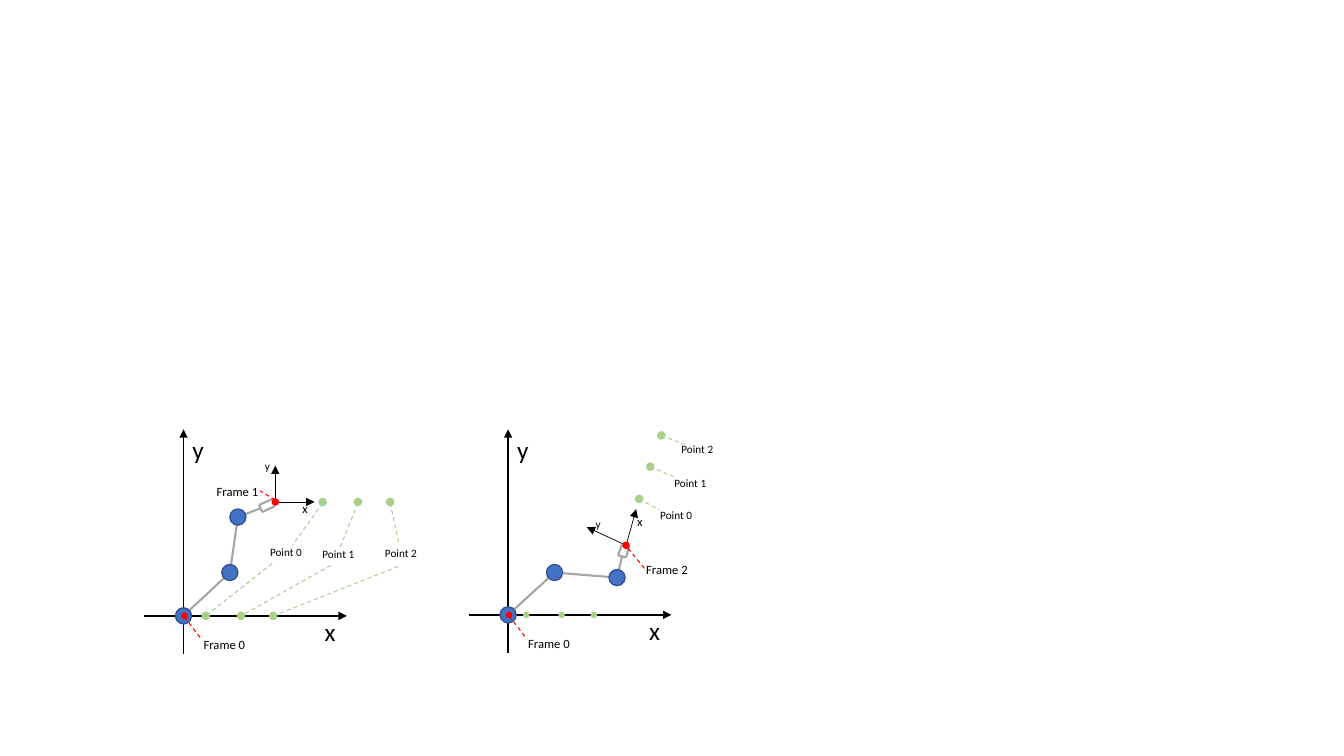
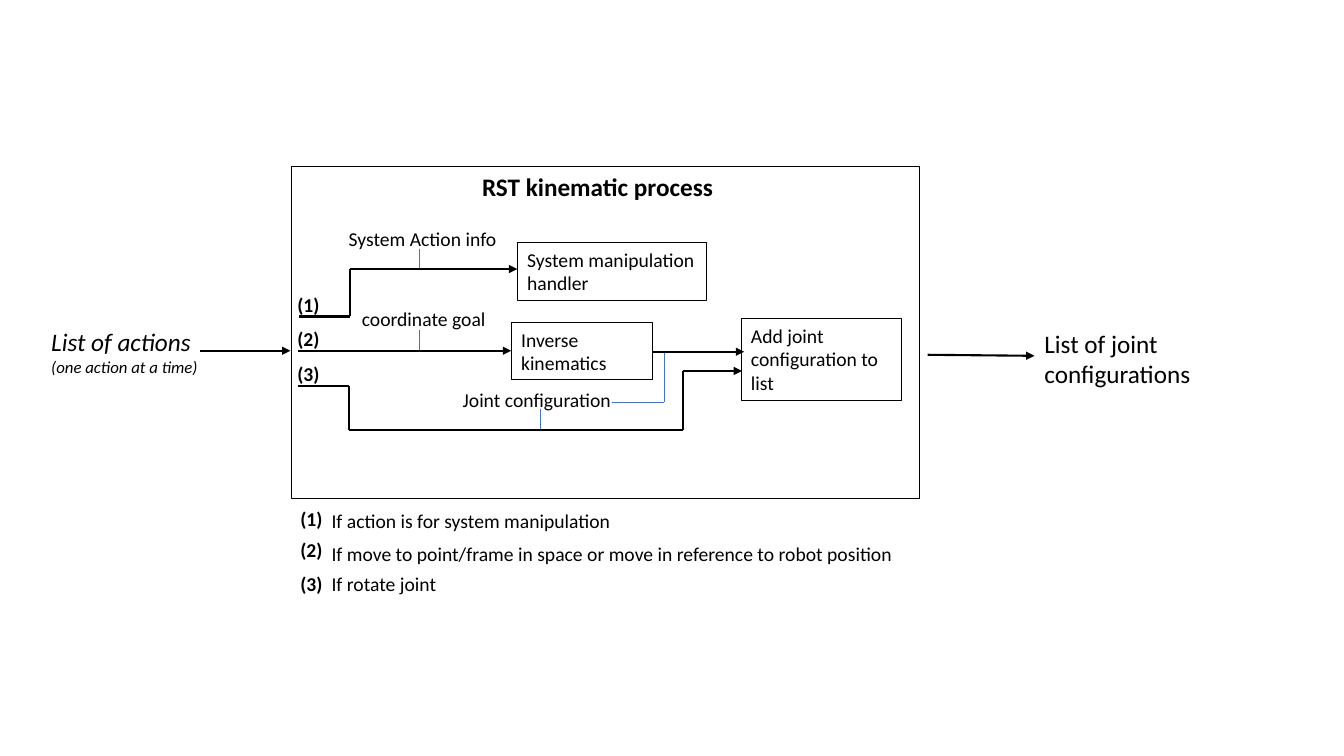
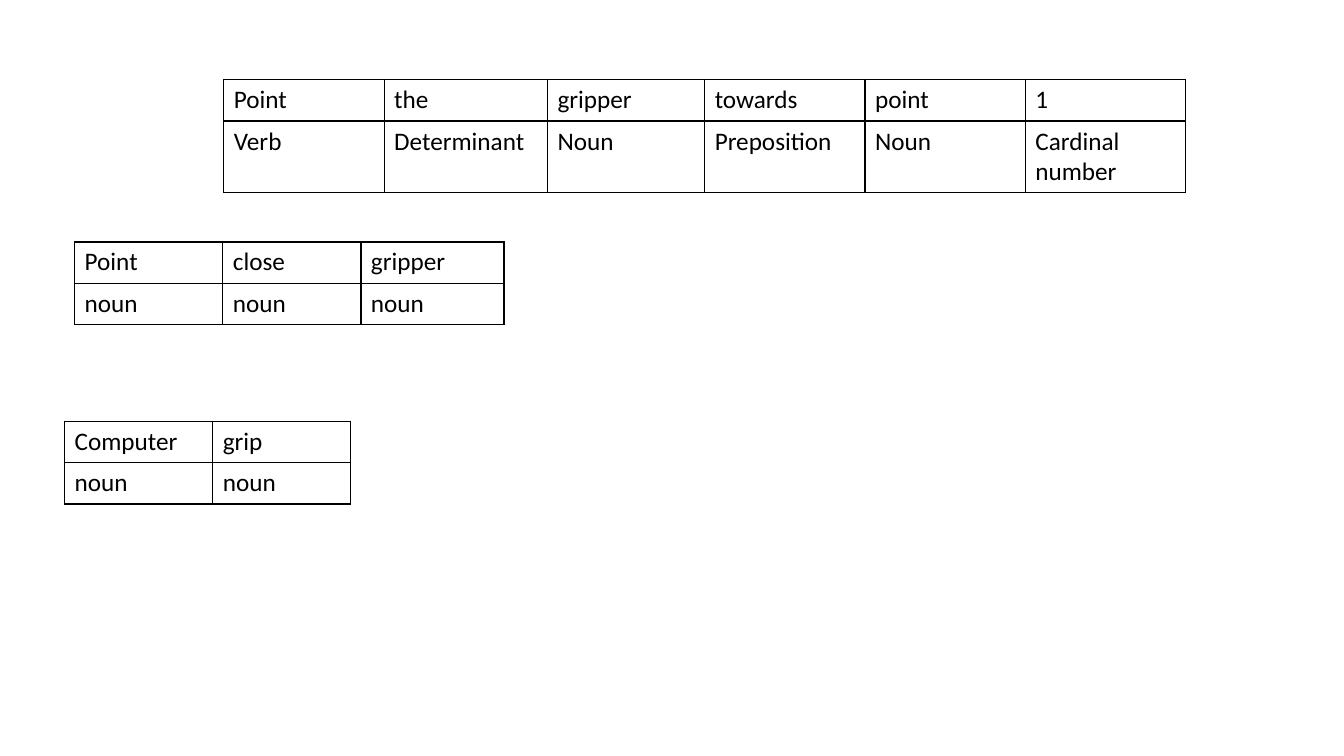
from itertools import pairwise

from lxml.etree import SubElement
from pptx import Presentation
from pptx.dml.color import RGBColor
from pptx.enum.dml import MSO_LINE
from pptx.enum.shapes import MSO_CONNECTOR, MSO_SHAPE
from pptx.enum.text import MSO_ANCHOR, PP_ALIGN
from pptx.oxml import parse_xml
from pptx.oxml.ns import nsdecls, qn
from pptx.util import Inches, Pt

FONT = "Calibri"
BLACK, WHITE = "000000", "FFFFFF"
BLUE, NAVY, GREY = "4472C4", "325491", "A5A5A5"
RED, GREEN = "FF0000", "A9D18E"
POINT_STEPS = (0, 0.35, 0.67)


def color(value):
    return RGBColor.from_string(value)


class Sketch:
    """Holds the deck, the current page and the drawing style."""

    def __init__(self):
        self.deck = Presentation()
        self.deck.slide_width = Inches(13.33)
        self.deck.slide_height = Inches(7.5)
        self.page = None

    def new_page(self):
        self.page = self.deck.slides.add_slide(self.deck.slide_layouts[6])

    def line(self, start, end, ink=BLACK, width=1.5, arrow=False, dashed=False):
        connector = self.page.shapes.add_connector(
            MSO_CONNECTOR.STRAIGHT, *[Inches(value) for value in (*start, *end)])
        connector.line.color.rgb = color(ink)
        connector.line.width = Pt(width)
        if dashed:
            connector.line.dash_style = MSO_LINE.DASH
        properties = connector.element.spPr
        if arrow:
            SubElement(properties.find(qn("a:ln")), qn("a:tailEnd"), type="triangle")
        SubElement(properties, qn("a:effectLst"))

    def route(self, points, arrow=False, **style):
        """Joined segments; only the last one may carry an arrowhead."""
        for start, end in pairwise(points):
            self.line(start, end, arrow=arrow and end == points[-1], **style)

    def shape(self, kind, left, top, width, height, fill=None, ink=BLACK, weight=0.75):
        shape = self.page.shapes.add_shape(
            kind, Inches(left), Inches(top), Inches(width), Inches(height))
        shape.shadow.inherit = False
        if fill:
            shape.fill.solid()
            shape.fill.fore_color.rgb = color(fill)
        else:
            shape.fill.background()
        shape.line.color.rgb = color(ink)
        shape.line.width = Pt(weight)
        return shape

    def dot(self, center, size, fill, ink=None):
        x, y = center
        self.shape(MSO_SHAPE.OVAL, x - size / 2, y - size / 2, size, size,
                   fill, ink or fill, 1)

    def add_span(self, para, text, size, bold=False, italic=False):
        span = para.add_run()
        span.text = text
        span.font.name = FONT
        span.font.size = Pt(size)
        span.font.bold = bold
        span.font.italic = italic
        span.font.color.rgb = color(BLACK)

    def label(self, left, top, width, height, text, size, centered=False, **style):
        box = self.page.shapes.add_textbox(
            Inches(left), Inches(top), Inches(width), Inches(height))
        box.text_frame.word_wrap = True
        para = box.text_frame.paragraphs[0]
        para.alignment = PP_ALIGN.CENTER if centered else PP_ALIGN.LEFT
        self.add_span(para, text, size, **style)
        return box.text_frame

    def block(self, left, top, width, height, text, fill=None):
        box = self.shape(MSO_SHAPE.RECTANGLE, left, top, width, height, fill)
        box.text_frame.word_wrap = True
        box.text_frame.vertical_anchor = MSO_ANCHOR.TOP
        para = box.text_frame.paragraphs[0]
        para.alignment = PP_ALIGN.LEFT
        self.add_span(para, text, 14)

    def table(self, left, top, widths, heights, rows):
        grid = self.page.shapes.add_table(
            len(rows), len(widths), Inches(left), Inches(top),
            Inches(sum(widths)), Inches(sum(heights))).table
        grid.first_row = grid.horz_banding = False
        for column, width in zip(grid.columns, widths):
            column.width = Inches(width)
        for row, height, words in zip(grid.rows, heights, rows):
            row.height = Inches(height)
            for cell, word in zip(row.cells, words):
                self.add_span(cell.text_frame.paragraphs[0], word, 18)
                cell.fill.background()
                self.border(cell)

    def border(self, cell):
        properties = cell._tc.get_or_add_tcPr()
        for index, side in enumerate(("lnL", "lnR", "lnT", "lnB")):
            properties.insert(index, parse_xml(
                f'<a:{side} {nsdecls("a")} w="12700"><a:solidFill>'
                f'<a:srgbClr val="{BLACK}"/></a:solidFill></a:{side}>'))


def draw_robot(sketch, joints, palm, fingers, tip, x_end, y_end, point_size, first_point):
    """World axes, a jointed arm with gripper, and the frame at its tip."""
    x, y = joints[0]
    # Tool axes and links
    for end in (x_end, y_end):
        sketch.line(tip, end, width=0.5, arrow=True)
    sketch.route([*joints, palm], ink=GREY)
    # World axes
    sketch.line((x, y + 0.38), (x, 4.26), width=1, arrow=True)
    sketch.line((x - 0.39, y), (x + 1.62, y), width=1, arrow=True)
    sketch.label(x + 1.3, y - 0.04, 0.35, 0.4, "x", 18)
    sketch.label(x - 0.01, 4.26, 0.35, 0.4, "y", 18)
    # Joints and gripper
    for joint in joints:
        sketch.dot(joint, 0.16, BLUE, NAVY)
    sketch.route(fingers, ink=GREY)
    # Frame origins
    sketch.dot((x + 0.01, y), 0.05, RED)
    sketch.dot(tip, 0.06, RED)
    sketch.line((x + 0.01, y + 0.01), (x + 0.17, y + 0.22), RED, 0.75, dashed=True)
    sketch.label(x + 0.1, y + 0.16, 0.65, 0.25, "Frame 0", 9)
    # Points along the world x axis
    for step in POINT_STEPS:
        sketch.dot((x + first_point + step, y), point_size, GREEN)


def draw_frames(sketch):
    sketch.new_page()
    leader = {"width": 0.75, "dashed": True}

    # Arm reaching frame 1
    draw_robot(sketch, [(1.82, 6.11), (2.28, 5.68), (2.36, 5.13)], (2.59, 5.04),
               [(2.7, 4.95), (2.57, 5.01), (2.6, 5.08), (2.73, 5.02)],
               (2.73, 4.98), (3.12, 4.98), (2.73, 4.62), 0.07, 0.22)
    sketch.line((2.73, 4.96), (2.58, 4.87), RED, **leader)
    sketch.label(2.05, 4.75, 0.65, 0.25, "Frame 1", 9)
    sketch.label(2.9, 4.92, 0.3, 0.25, "x", 9)
    sketch.label(2.53, 4.51, 0.3, 0.24, "y", 8)
    links = [((2.58, 5.36), (2.9, 5.41), (2.7, 5.59)),
             ((3.1, 5.38), (3.37, 5.44), (3.28, 5.61)),
             ((3.72, 5.37), (3.96, 5.41), (3.95, 5.62))]
    for number, (step, (corner, above, below)) in enumerate(zip(POINT_STEPS, links)):
        sketch.dot((3.2 + step, 4.98), 0.07, GREEN)
        sketch.line((3.2 + step, 4.99), above, GREEN, **leader)
        sketch.line(below, (2.04 + step, 6.11), GREEN, **leader)
        sketch.label(*corner, 0.6, 0.24, f"Point {number}", 8)

    # Arm reaching frame 2
    draw_robot(sketch, [(5.04, 6.1), (5.5, 5.68), (6.12, 5.73)], (6.17, 5.52),
               [(6.17, 5.4), (6.13, 5.51), (6.21, 5.53), (6.24, 5.42)],
               (6.21, 5.41), (6.31, 5.05), (5.82, 5.23), 0.05, 0.18)
    sketch.line((6.23, 5.44), (6.4, 5.65), RED, **leader)
    sketch.label(6.31, 5.53, 0.65, 0.25, "Frame 2", 9)
    sketch.label(6.22, 5.05, 0.3, 0.25, "x", 9)
    sketch.label(5.81, 5.08, 0.3, 0.24, "y", 8)
    points = [((6.34, 4.95), (6.54, 5.06), (6.45, 4.99)),
              ((6.45, 4.63), (6.68, 4.73), (6.59, 4.68)),
              ((6.56, 4.32), (6.79, 4.41), (6.66, 4.34))]
    for number, (center, end, corner) in enumerate(points):
        sketch.dot(center, 0.07, GREEN)
        sketch.line(center, end, GREEN, **leader)
        sketch.label(*corner, 0.6, 0.24, f"Point {number}", 8)


def draw_process(sketch):
    sketch.new_page()
    # Frame and title
    sketch.shape(MSO_SHAPE.RECTANGLE, 2.89, 1.65, 6.23, 3.3)
    sketch.label(3.68, 1.65, 4.55, 0.4, "RST kinematic process ", 18,
                 centered=True, bold=True)

    # Input and output
    source = sketch.label(0.41, 3.19, 1.75, 0.61, "List of actions", 18, italic=True)
    sketch.add_span(source.add_paragraph(), "(one action at a time)", 12, italic=True)
    sketch.line((1.98, 3.48), (2.88, 3.48), arrow=True)
    sketch.line((9.2, 3.52), (10.26, 3.53), arrow=True)
    sketch.label(10.26, 3.21, 1.81, 0.71, "List of joint configurations", 18)

    # Thin leaders from flow names to flows
    for leader in ([(4.16, 2.67), (4.16, 2.47)], [(4.16, 3.47), (4.16, 3.27)],
                   [(5.36, 4.26), (5.36, 4.06)],
                   [(6.07, 3.99), (6.59, 3.99), (6.59, 3.49)]):
        sketch.route(leader, ink=BLUE, width=0.5)

    # Steps
    sketch.block(5.13, 2.41, 1.88, 0.57, "System manipulation handler")
    sketch.block(5.07, 3.2, 1.4, 0.57, "Inverse kinematics", WHITE)
    sketch.block(7.35, 3.16, 1.59, 0.81, "Add joint configuration to list")

    # Flows
    for flow in ([(2.97, 3.14), (3.47, 3.14), (3.47, 2.67), (5.13, 2.67)],
                 [(2.96, 3.48), (5.07, 3.48)],
                 [(6.48, 3.49), (7.38, 3.49)],
                 [(2.96, 3.83), (3.46, 3.83), (3.46, 4.27), (6.77, 4.27),
                  (6.77, 3.68), (7.36, 3.68)]):
        sketch.route(flow, arrow=True)
    for left, top, width, name in ((3.36, 2.2, 1.8, "System Action info"),
                                   (3.49, 3, 1.5, "coordinate goal"),
                                   (4.49, 3.8, 2.22, "Joint configuration")):
        sketch.label(left, top, width, 0.34, name, 14)

    # Case numbers and their legend
    cases = [(2.86, 4.98, 5, "If action is for system manipulation"),
             (3.19, 5.29, 5.33, "If move to point/frame in space or move in "
              "reference to robot position"),
             (3.54, 5.62, 5.62, "If rotate joint")]
    for number, (flow_top, key_top, text_top, text) in enumerate(cases, 1):
        for left, top in ((2.85, flow_top), (2.88, key_top)):
            sketch.label(left, top, 0.45, 0.34, f"({number})", 14, bold=True)
        sketch.label(3.19, text_top, 6.23, 0.34, text, 14)


def draw_tables(sketch):
    sketch.new_page()
    sketch.table(0.74, 2.4, [1.47, 1.37, 1.42], [0.41, 0.41],
                 [["Point", "close", "gripper"], ["noun"] * 3])
    sketch.table(0.64, 4.18, [1.47, 1.37], [0.41, 0.41],
                 [["Computer", "grip"], ["noun"] * 2])
    sketch.table(2.22, 0.79, [1.59, 1.62, 1.56, 1.59, 1.59, 1.59], [0.41, 0.7],
                 [["Point", "the", "gripper", "towards", "point", "1"],
                  ["Verb", "Determinant", "Noun", "Preposition", "Noun",
                   "Cardinal number"]])


def main():
    sketch = Sketch()
    draw_frames(sketch)
    draw_process(sketch)
    draw_tables(sketch)
    sketch.deck.save("out.pptx")


if __name__ == "__main__":
    main()
